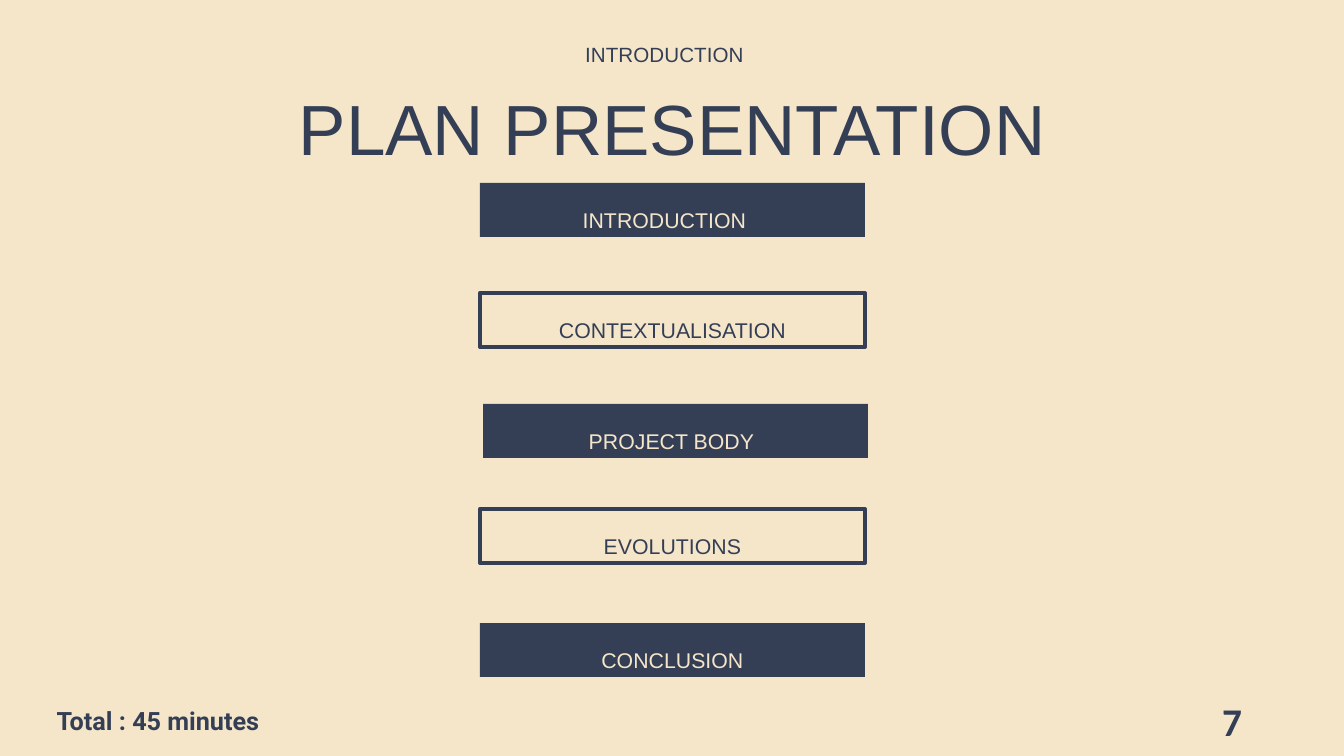
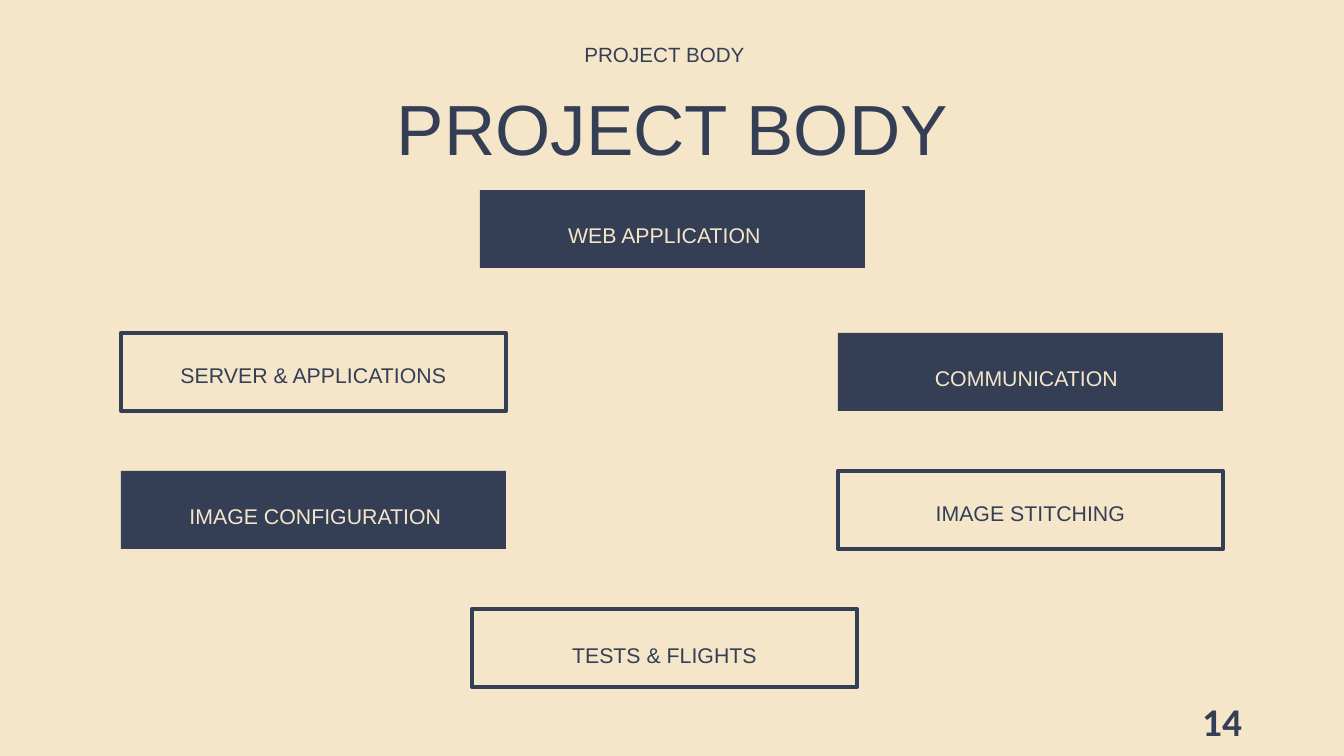
from dataclasses import dataclass

from pptx import Presentation
from pptx.dml.color import RGBColor
from pptx.enum.shapes import MSO_SHAPE
from pptx.enum.text import MSO_ANCHOR, MSO_AUTO_SIZE, PP_ALIGN
from pptx.util import Emu, Pt

RECTANGLE = MSO_SHAPE.RECTANGLE
TOP, MIDDLE = MSO_ANCHOR.TOP, MSO_ANCHOR.MIDDLE
NO_AUTOSIZE = MSO_AUTO_SIZE.NONE
CENTER, RIGHT = PP_ALIGN.CENTER, PP_ALIGN.RIGHT

EMU_PER_PX = 914400 / 100.8
PAGE_WIDTH, PAGE_HEIGHT = 1344, 756
TITLE_ONLY = 5
COLOURS = {"navy": "343F56", "cream": "F5E6CA"}

BOX_WIDTH = 385
PLAN_HEIGHT, TOPIC_HEIGHT = 54, 78
LEFT_COLUMN, MIDDLE_COLUMN, RIGHT_COLUMN = 121, 480, 838


@dataclass(frozen=True)
class TextStyle:
    size: float
    colour: str = "navy"
    font: str = "Arial"
    bold: bool = False
    align: PP_ALIGN = CENTER
    spacing: float = 1.4
    anchor: MSO_ANCHOR = TOP


@dataclass(frozen=True)
class Area:
    left: int
    top: int
    width: int
    height: int


@dataclass(frozen=True)
class Box:
    label: str
    left: int
    top: int
    filled: bool
    drop: int = 14
    shift: int = 0


@dataclass(frozen=True)
class Page:
    section: str
    title: str
    number: str
    box_height: int
    boxes: tuple[Box, ...]
    duration: str = ""


TITLE_STYLE = TextStyle(50.7)
SECTION_STYLE = TextStyle(14.7)
NUMBER_STYLE = TextStyle(28, font="Calibri", bold=True, align=RIGHT, spacing=1.0, anchor=MIDDLE)
DURATION_STYLE = TextStyle(18, font="Roboto", bold=True, spacing=1.14)

TITLE_AREA = Area(204, 50, 937, 114)
SECTION_AREA = Area(506, 32, 317, 34)
NUMBER_AREA = Area(950, 701, 302, 40)
DURATION_AREA = Area(0, 701, 316, 34)

PAGES = (
    Page("INTRODUCTION", "PLAN PRESENTATION", "7", PLAN_HEIGHT, (
        Box("INTRODUCTION", MIDDLE_COLUMN, 183, True, shift=-8),
        Box("CONTEXTUALISATION", MIDDLE_COLUMN, 293, False),
        Box("PROJECT BODY", 483, 404, True, shift=-4),
        Box("EVOLUTIONS", MIDDLE_COLUMN, 509, False),
        Box("CONCLUSION", MIDDLE_COLUMN, 623, True),
    ), "Total : 45 minutes"),
    Page("PROJECT BODY", "PROJECT BODY", "14", TOPIC_HEIGHT, (
        Box("WEB APPLICATION", MIDDLE_COLUMN, 190, True, 22, -8),
        Box("SERVER & APPLICATIONS", LEFT_COLUMN, 333, False, 19),
        Box("COMMUNICATION", RIGHT_COLUMN, 333, True, 22, -4),
        Box("IMAGE CONFIGURATION", LEFT_COLUMN, 471, True, 22, 2),
        Box("IMAGE STITCHING", RIGHT_COLUMN, 471, False, 19),
        Box("TESTS & FLIGHTS", 472, 609, False, 23),
    )),
)


def px(length: int) -> Emu:
    """Turn pixels into EMU."""
    return Emu(round(length * EMU_PER_PX))


def rgb(name: str) -> RGBColor:
    """Look up a named colour."""
    return RGBColor.from_string(COLOURS[name])


def bounds(area: Area) -> tuple[Emu, Emu, Emu, Emu]:
    """Return the left, top, width and height of an area in EMU."""
    return px(area.left), px(area.top), px(area.width), px(area.height)


def write(shape, text: str, style: TextStyle, insets: tuple[int, int, int, int] = (0, 0, 0, 0)) -> None:
    """Write one styled paragraph with left, top, right and bottom insets."""
    frame = shape.text_frame
    frame.word_wrap = True
    frame.auto_size = NO_AUTOSIZE
    frame.vertical_anchor = style.anchor
    frame.margin_left, frame.margin_top, frame.margin_right, frame.margin_bottom = map(px, insets)
    para = frame.paragraphs[0]
    para.alignment = style.align
    para.line_spacing = style.spacing
    span = para.add_run()
    span.text = text
    span.font.size = Pt(style.size)
    span.font.name = style.font
    span.font.bold = style.bold
    span.font.color.rgb = rgb(style.colour)


def add_text(slide, area: Area, text: str, style: TextStyle,
             insets: tuple[int, int, int, int] = (0, 0, 0, 0)) -> None:
    """Add a text box."""
    write(slide.shapes.add_textbox(*bounds(area)), text, style, insets)


def add_box(slide, box: Box, height: int) -> None:
    """Add a filled or outlined rectangle with its label."""
    area = Area(box.left, box.top, BOX_WIDTH, height)
    shape = slide.shapes.add_shape(RECTANGLE, *bounds(area))
    shape.shadow.inherit = False
    if box.filled:
        shape.fill.solid()
        shape.fill.fore_color.rgb = rgb("navy")
        shape.line.fill.background()
    else:
        shape.fill.background()
        shape.line.color.rgb = rgb("navy")
        shape.line.width = Pt(3)
    insets = (max(0, 2 * box.shift), box.drop, max(0, -2 * box.shift), 0)
    write(shape, box.label, TextStyle(15.2, "cream" if box.filled else "navy"), insets)


def add_page(deck, page: Page) -> None:
    """Add one slide with its headings, boxes and footer."""
    slide = deck.slides.add_slide(deck.slide_layouts[TITLE_ONLY])
    title = slide.shapes.title
    title.left, title.top, title.width, title.height = bounds(TITLE_AREA)
    write(title, page.title, TITLE_STYLE)
    add_text(slide, SECTION_AREA, page.section, SECTION_STYLE)
    for box in page.boxes:
        add_box(slide, box, page.box_height)
    add_text(slide, NUMBER_AREA, page.number, NUMBER_STYLE, (10, 5, 10, 5))
    if page.duration:
        add_text(slide, DURATION_AREA, page.duration, DURATION_STYLE)


def main() -> None:
    """Build and save the deck."""
    deck = Presentation()
    deck.slide_width, deck.slide_height = px(PAGE_WIDTH), px(PAGE_HEIGHT)
    backdrop = deck.slide_master.background.fill
    backdrop.solid()
    backdrop.fore_color.rgb = rgb("cream")
    for page in PAGES:
        add_page(deck, page)
    deck.save("out.pptx")


if __name__ == "__main__":
    main()
